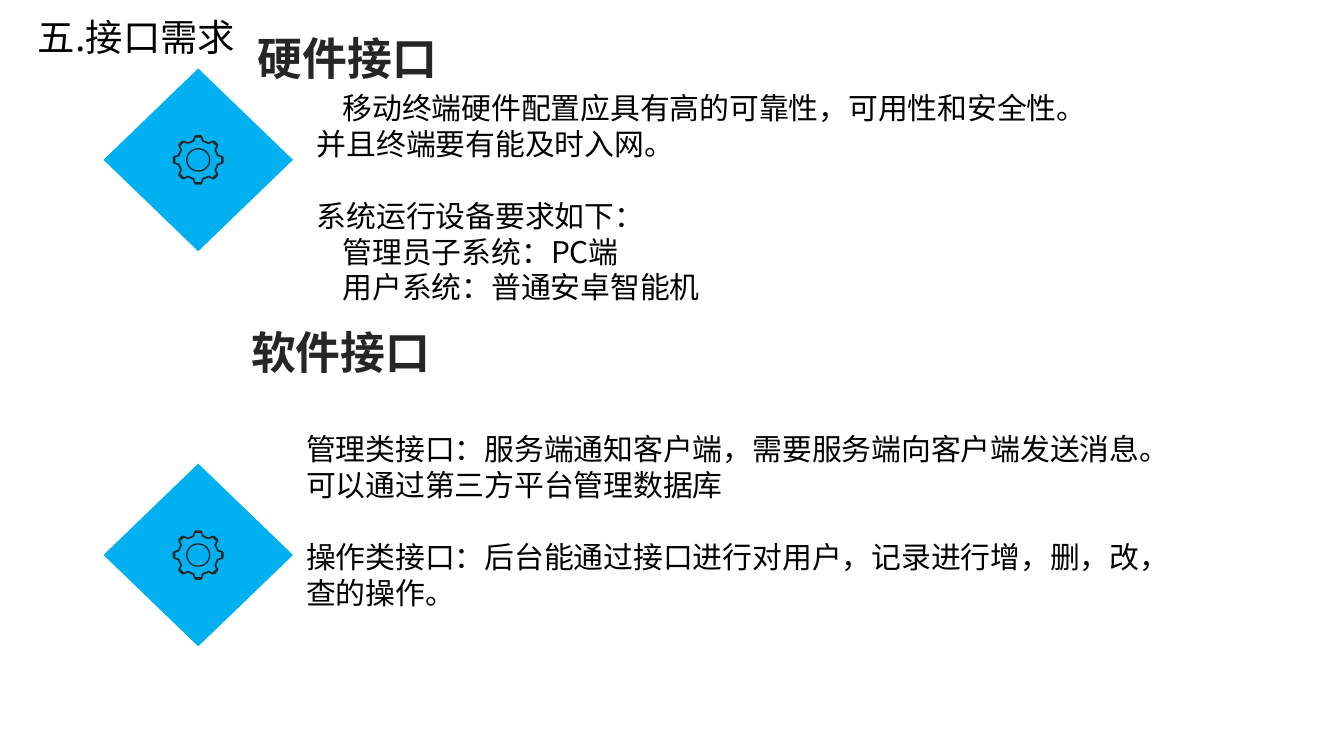
import math
import pptx
import pptx.util
import pptx.dml.color
import pptx.enum.shapes
import pptx.enum.text
import pptx.oxml.ns
import lxml.etree

Inches = pptx.util.Inches
Pt = pptx.util.Pt
Align = pptx.enum.text.PP_ALIGN

THEME = {
    "font": "Noto Sans CJK SC",
    "blue": "00B0F0", "dark": "262626", "black": "000000",
    "title": 20, "head": 24, "body": 16,
    "lead": 1.2,
}

HEADS = [
    ("五.接口需求", (-0.54, 0.06, 2.39, 0.44), "title", "black", Align.RIGHT),
    ("硬件接口", (1.69, 0.18, 1.66, 0.5), "head", "dark", Align.RIGHT),
    ("软件接口", (1.77, 2.37, 2.45, 0.5), "head", "dark", Align.LEFT),
]

BODIES = [
    ((2.26, 0.62, 5.89, 1.72), 0, [
        ("移动终端硬件配置应具有高的可靠性，可用性和安全性。并且终端要有能及时入网。", 0.19, 0),
        ("系统运行设备要求如下：", 0, 1),
        ("管理员子系统：PC端", 0.19, 0),
        ("用户系统：普通安卓智能机", 0.19, 0),
    ]),
    ((2.18, 2.89, 6.52, 1.72), 1, [
        ("管理类接口：服务端通知客户端，需要服务端向客户端发送消息。可以通过第三方平台管理数据库", 0, 0),
        ("操作类接口：后台能通过接口进行对用户，记录进行增，删，改，查的操作。", 0, 1),
    ]),
]

ICONS = [(0.77, 0.51), (0.77, 3.45)]
SIZE = (1.41, 1.36)
TEETH = 8
OUTER = [(-0.04, 0.15), (-0.03, 0.18), (-0.02, 0.19),
         (0.02, 0.19), (0.03, 0.18), (0.04, 0.15)]
INNER = [(-0.03, 0.14), (-0.02, 0.17), (0.02, 0.17), (0.03, 0.14)]
RINGS = (0.09, 0.08)
FLAT = 0.97


def color(name):
    return pptx.dml.color.RGBColor.from_string(THEME[name])


def paint(shape, name):
    shape.shadow.inherit = False
    shape.fill.solid()
    shape.fill.fore_color.rgb = color(name)
    shape.line.fill.background()


def style(para, size, tint, bold=False):
    para.line_spacing = Pt(THEME[size] * THEME["lead"])
    for run in para.runs:
        font = run.font
        font.size = Pt(THEME[size])
        font.bold = bold
        font.color.rgb = color(tint)
        font.name = THEME["font"]
        east = lxml.etree.SubElement(run._r.rPr, pptx.oxml.ns.qn("a:ea"))
        east.set("typeface", THEME["font"])


def add_box(slide, area):
    frame = slide.shapes.add_textbox(*map(Inches, area)).text_frame
    frame.word_wrap = True
    frame.auto_size = pptx.enum.text.MSO_AUTO_SIZE.SHAPE_TO_FIT_TEXT
    return frame


def add_head(slide, text, area, size, tint, align):
    frame = add_box(slide, area)
    frame.text = text
    para = frame.paragraphs[0]
    para.alignment = align
    style(para, size, tint, size == "head")


def add_body(slide, area, skip, lines):
    pitch = THEME["body"] * THEME["lead"]
    frame = add_box(slide, area)
    frame.margin_top = Inches(0.05) + Pt(skip * pitch)
    frame.text = "\n".join(text for text, _, _ in lines)
    for para, (_, indent, gap) in zip(frame.paragraphs, lines):
        if indent:
            para._p.get_or_add_pPr().set("indent", str(Inches(indent)))
        if gap:
            para.space_before = Pt(gap * pitch)
        style(para, "body", "black")


def spin(tooth, count):
    points = []
    for step in range(count):
        turn = math.tau * step / count
        cos, sin = math.cos(turn), math.sin(turn)
        points += [(x * cos + y * sin, x * sin - y * cos) for x, y in tooth]
    return points


def add_gear(slide, mid_x, mid_y):
    loops = [spin(OUTER, TEETH), spin(INNER, TEETH)[::-1]]
    loops += [spin([(0, RINGS[0])], 48), spin([(0, RINGS[1])], 48)[::-1]]
    loops = [[(1000 * (mid_x + x), 1000 * (mid_y + y * FLAT)) for x, y in loop]
             for loop in loops]
    build = slide.shapes.build_freeform(*loops[0][0], scale=Inches(1) / 1000)
    build.add_line_segments(loops[0][1:], close=True)
    for loop in loops[1:]:
        build.move_to(*loop[0])
        build.add_line_segments(loop[1:], close=True)
    paint(build.convert_to_shape(), "dark")


def add_icon(slide, left, top):
    wide, high = SIZE
    kind = pptx.enum.shapes.MSO_SHAPE.DIAMOND
    paint(slide.shapes.add_shape(kind, *map(Inches, (left, top, wide, high))), "blue")
    add_gear(slide, left + wide / 2, top + high / 2)


def main():
    deck = pptx.Presentation()
    deck.slide_width = Inches(10)
    deck.slide_height = Inches(10 * 9 / 16)
    slide = deck.slides.add_slide(deck.slide_layouts[6])
    for spot in ICONS:
        add_icon(slide, *spot)
    for body in BODIES:
        add_body(slide, *body)
    for head in HEADS:
        add_head(slide, *head)
    deck.save("out.pptx")


if __name__ == "__main__":
    main()
